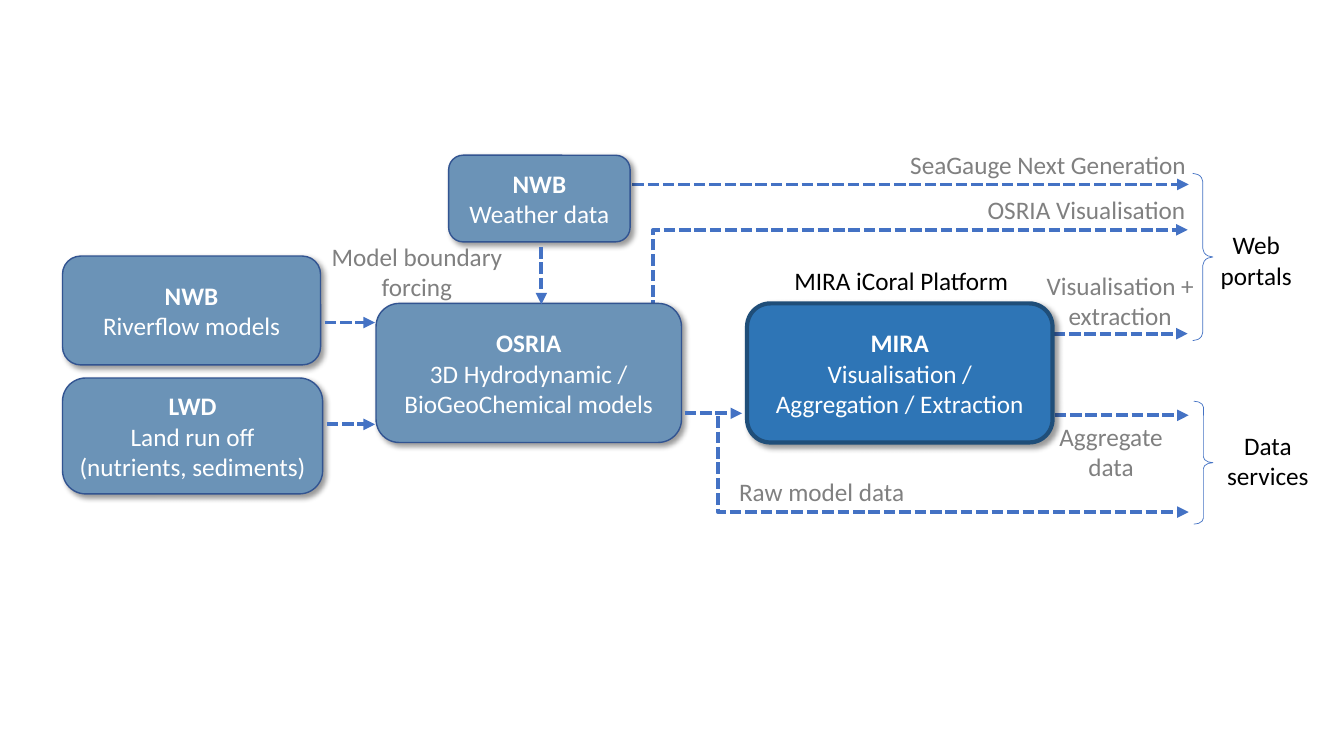
from dataclasses import dataclass

from lxml import etree
from pptx import Presentation
from pptx.dml.color import RGBColor
from pptx.enum.dml import MSO_LINE
from pptx.enum.shapes import MSO_CONNECTOR, MSO_SHAPE
from pptx.enum.text import MSO_ANCHOR, MSO_AUTO_SIZE, PP_ALIGN
from pptx.oxml.ns import qn
from pptx.util import Inches, Pt

ROUNDED, BRACE = MSO_SHAPE.ROUNDED_RECTANGLE, MSO_SHAPE.RIGHT_BRACE
STRAIGHT, DASHED = MSO_CONNECTOR.STRAIGHT, MSO_LINE.SQUARE_DOT
CENTER, MIDDLE, TOP = PP_ALIGN.CENTER, MSO_ANCHOR.MIDDLE, MSO_ANCHOR.TOP
GROW = MSO_AUTO_SIZE.SHAPE_TO_FIT_TEXT

SLIDE_WIDTH, SLIDE_HEIGHT = Inches(13.33), Inches(7.5)
COLUMNS, ROWS = 133.3, 75


@dataclass(frozen=True)
class Theme:
    font: str = "Calibri"
    size: float = 18
    inverse: str = "FFFFFF"
    strong: str = "000000"
    muted: str = "808080"
    flow: str = "4472C4"
    flow_width: float = 2.75
    brace_width: float = 0.5
    partner: tuple = ("6B93B7", "325491", 1)
    platform: tuple = ("2E75B6", "1F4E79", 3)


THEME = Theme()


@dataclass
class Region:
    """A box on the grid; its parts are placed from its top left corner."""
    slide: object
    left: float
    top: float

    def point(self, column, row):
        return (int((self.left + column) * SLIDE_WIDTH / COLUMNS),
                int((self.top + row) * SLIDE_HEIGHT / ROWS))

    def frame(self, column, row, columns, rows):
        return (*self.point(column, row),
                int(columns * SLIDE_WIDTH / COLUMNS),
                int(rows * SLIDE_HEIGHT / ROWS))


def apply(target, formats):
    for name, value in formats.items():
        setattr(target, name, value)


def set_line(line, color, width):
    line.color.rgb = RGBColor.from_string(color)
    line.width = Pt(width)


def write(frame, paragraphs, color, anchor):
    """Fill a text frame from (text, bold) pairs."""
    apply(frame, {"word_wrap": True, "vertical_anchor": anchor})
    for index, (text, bold) in enumerate(paragraphs):
        paragraph = frame.add_paragraph() if index else frame.paragraphs[0]
        paragraph.alignment = CENTER
        run = paragraph.add_run()
        run.text = text
        apply(run.font, {"name": THEME.font, "size": Pt(THEME.size), "bold": bold})
        run.font.color.rgb = RGBColor.from_string(color)


def add_shadow(shape):
    effects = shape._element.spPr.find(qn("a:effectLst"))
    shadow = etree.SubElement(effects, qn("a:outerShdw"), {
        "blurRad": str(Pt(4)), "dist": str(Pt(3)), "dir": str(45 * 60000),
        "algn": "tl", "rotWithShape": "0"})
    color = etree.SubElement(shadow, qn("a:srgbClr"), val="000000")
    etree.SubElement(color, qn("a:alpha"), val="40000")


def add_agency(region, box, name, role, look, corner=0.167):
    fill, outline, width = look
    agency = region.slide.shapes.add_shape(ROUNDED, *region.frame(*box))
    agency.adjustments[0] = corner
    agency.fill.solid()
    agency.fill.fore_color.rgb = RGBColor.from_string(fill)
    set_line(agency.line, outline, width)
    agency.shadow.inherit = False
    add_shadow(agency)
    write(agency.text_frame, [(name, True), (role, False)], THEME.inverse, MIDDLE)


def add_label(region, box, text, color):
    label = region.slide.shapes.add_textbox(*region.frame(*box))
    write(label.text_frame, [(text, False)], color, TOP)
    label.text_frame.auto_size = GROW


def add_flow(region, *stops):
    """A dashed arrow: straight for two stops, bent for more."""
    points = [region.point(*stop) for stop in stops]
    shapes = region.slide.shapes
    if len(points) == 2:
        flow = shapes.add_connector(STRAIGHT, *points[0], *points[1])
    else:
        builder = shapes.build_freeform(*points[0])
        builder.add_line_segments(points[1:], close=False)
        flow = builder.convert_to_shape()
        flow.fill.background()
    set_line(flow.line, THEME.flow, THEME.flow_width)
    flow.line.dash_style = DASHED
    properties = flow._element.spPr
    etree.SubElement(properties.find(qn("a:ln")), qn("a:tailEnd"), type="triangle")
    etree.SubElement(properties, qn("a:effectLst"))


def add_brace(region, box, curve):
    brace = region.slide.shapes.add_shape(BRACE, *region.frame(*box))
    brace.adjustments[0] = curve
    brace.fill.background()
    set_line(brace.line, THEME.flow, THEME.brace_width)
    brace.shadow.inherit = False


def draw_destination(region, flows, products, brace, curve, title_box, title):
    """Flows that end at one brace, with the destination's name beside it."""
    for stops in flows:
        add_flow(region, *stops)
    for box, product in products:
        add_label(region, box, product, THEME.muted)
    add_brace(region, brace, curve)
    add_label(region, title_box, title, THEME.strong)


def draw_models(region):
    width, height, pitch = 30.3, 13.8, 36.8
    add_agency(region, (0, 0, width, height), "OSRIA",
               "3D Hydrodynamic / BioGeoChemical models", THEME.partner)
    add_agency(region, (pitch, 0, width, height), "MIRA",
               "Visualisation / Aggregation / Extraction", THEME.platform)
    add_label(region, (pitch + 2, -4.3, 26.6, 4), "MIRA iCoral Platform", THEME.strong)
    add_flow(region, (width + 0.3, 10.9), (pitch - 0.5, 10.9))


def draw_inputs(region):
    agencies = [
        ((0, 10, 25.6, 10.8), "NWB", "Riverflow models", 0.167),
        ((0, 22.1, 25.8, 11.5), "LWD", "Land run off (nutrients, sediments)", 0.2),
        ((38.3, 0, 18, 8.6), "NWB", "Weather data", 0.167),
    ]
    for box, name, role, corner in agencies:
        add_agency(region, box, name, role, THEME.partner, corner)
    for start, end in [((26.2, 26.7), (31, 26.7)), ((26, 16.6), (31, 16.6)),
                       ((47.5, 9.1), (47.5, 14.8))]:
        add_flow(region, start, end)
    add_label(region, (24.6, 8, 21.1, 7.1), "Model boundary forcing", THEME.muted)


def main():
    deck = Presentation()
    apply(deck, {"slide_width": SLIDE_WIDTH, "slide_height": SLIDE_HEIGHT})
    slide = deck.slides.add_slide(deck.slide_layouts[6])

    # Web portals, top right
    draw_destination(
        Region(slide, 60, 14.3),
        flows=[[(2.7, 4), (57.9, 4)],
               [(4.8, 19.7), (4.8, 8.5), (57.8, 8.5)],
               [(44.5, 18.8), (57.8, 18.8)]],
        products=[((27.9, 0, 32.1, 4), "SeaGauge Next Generation"),
                  ((31.7, 4.5, 32.1, 4), "OSRIA Visualisation"),
                  ((42, 12, 18.2, 7.1), "Visualisation + extraction")],
        brace=(58.3, 2.9, 2, 16.6), curve=0.42,
        title_box=(58, 8, 13.2, 7.1), title="Web portals")

    # Data services, bottom right
    draw_destination(
        Region(slide, 66, 39.8),
        flows=[[(38.6, 1.4), (51.9, 1.4)],
               [(5.2, 1.5), (5.2, 11), (51.9, 11)]],
        products=[((37, 1.5, 14.4, 7.1), "Aggregate data"),
                  ((0.1, 7, 30.8, 4), "Raw model data")],
        brace=(52.4, 0, 1.9, 12.2), curve=0.31,
        title_box=(53, 2.4, 13.5, 7.1), title="Data services")

    # Models and the agencies that feed them
    draw_models(Region(slide, 37.3, 30.1))
    draw_inputs(Region(slide, 6.2, 15.4))
    deck.save("out.pptx")


if __name__ == "__main__":
    main()
